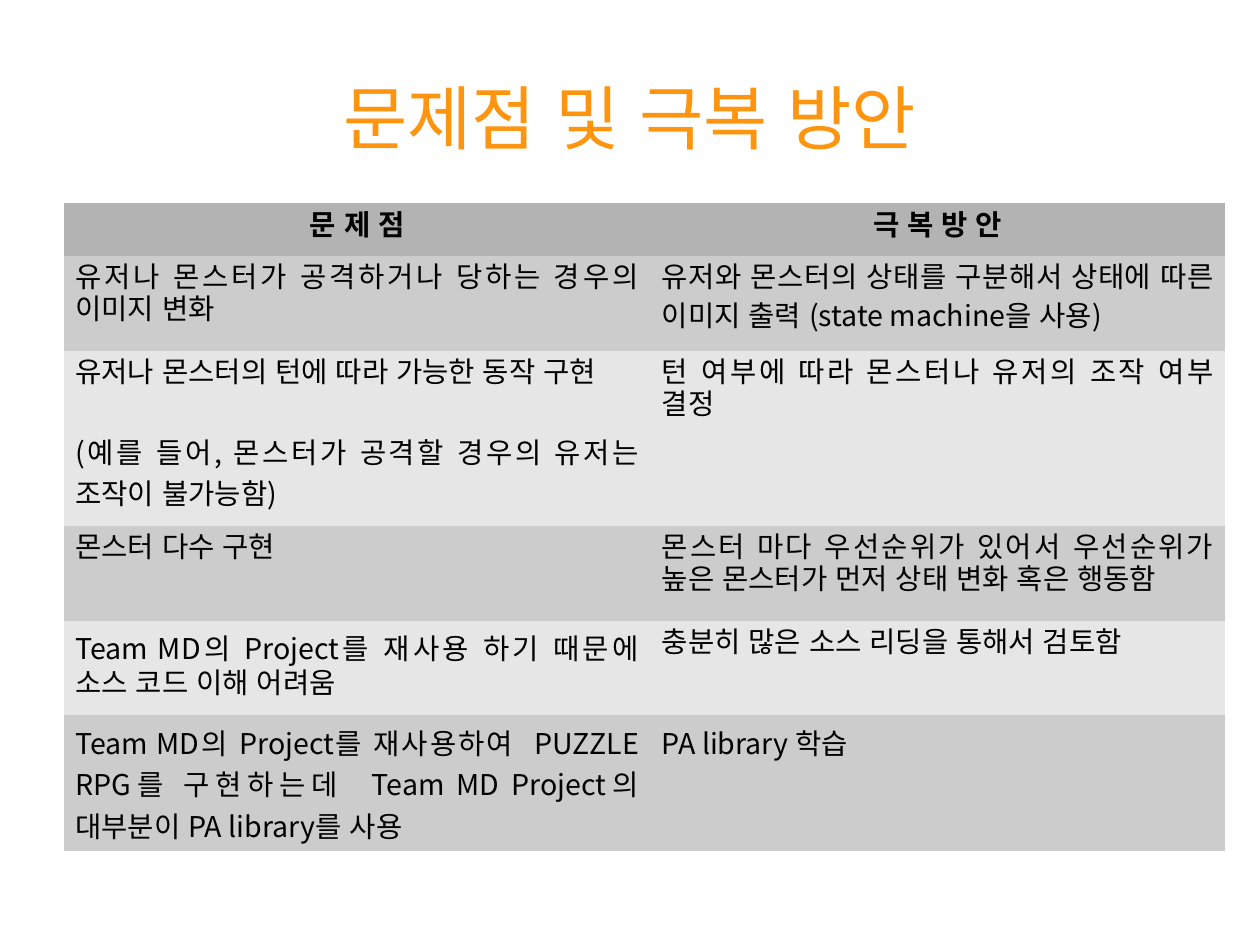
from lxml.etree import SubElement
from pptx import Presentation
from pptx.dml.color import RGBColor
from pptx.enum.text import MSO_ANCHOR as Anchor, PP_ALIGN as Align
from pptx.oxml.ns import qn
from pptx.util import Inches, Pt

BODY_FONT = "Noto Sans CJK KR"
TITLE_FONT = "Arial"
CM_PER_INCH = 2.54
HEADER_FILL = "B3B3B3"
BAND_FILLS = ("CCCCCC", "E6E6E6")
COLUMN_WIDTHS = (5.13, 5.03)
ROW_HEIGHTS = (0.46, 0.83, 1.53, 0.83, 0.83, 1.19)
BLANK_LINE = 26

HEADINGS = ("문 제 점", "극 복 방 안")
ISSUES = (
    ("유저나 몬스터가 공격하거나 당하는 경우의 이미지 변화",
     "유저와 몬스터의 상태를 구분해서 상태에 따른 이미지 출력 (state machine을 사용)"),
    ("유저나 몬스터의 턴에 따라 가능한 동작 구현\n"
     "(예를 들어, 몬스터가 공격할 경우의 유저는 조작이 불가능함)",
     "턴 여부에 따라 몬스터나 유저의 조작 여부 결정"),
    ("몬스터 다수 구현",
     "몬스터 마다 우선순위가 있어서 우선순위가 높은 몬스터가 먼저 상태 변화 혹은 행동함"),
    ("Team MD의 Project를 재사용 하기 때문에 소스 코드 이해 어려움",
     "충분히 많은 소스 리딩을 통해서 검토함"),
    ("Team MD의 Project를 재사용하여  PUZZLE RPG를 구현하는데  "
     "Team MD Project의 대부분이 PA library를 사용",
     "PA library 학습"),
)


def color(value):
    """Turn a hex string into a colour."""
    return RGBColor.from_string(value)


def write(frame, text, size, ink, align, latin=BODY_FONT, bold=False):
    """Fill a text frame, leaving one line free between paragraphs."""
    frame.text = text
    frame.word_wrap = True
    for index, paragraph in enumerate(frame.paragraphs):
        paragraph.alignment = align
        if index:
            paragraph.space_before = Pt(BLANK_LINE)
        for run in paragraph.runs:
            run.font.name = latin
            run.font.size = Pt(size)
            run.font.bold = bold
            run.font.color.rgb = color(ink)
            east_asian = SubElement(run.font._element, qn("a:ea"))
            east_asian.set("typeface", TITLE_FONT)


def add_title(slide, text):
    """Add the centred slide title."""
    title = slide.shapes.add_textbox(
        Inches(0.55), Inches(0.33), Inches(9.92), Inches(1.38))
    frame = title.text_frame
    frame.margin_left = frame.margin_right = 0
    frame.margin_top = frame.margin_bottom = 0
    frame.vertical_anchor = Anchor.MIDDLE
    write(frame, text, 44, "FF950E", Align.CENTER, latin=TITLE_FONT)


def add_issue_table(slide):
    """Add the table of problems and their solutions."""
    rows = (HEADINGS, *ISSUES)
    table = slide.shapes.add_table(
        len(rows), len(HEADINGS), Inches(0.56), Inches(1.78),
        Inches(sum(COLUMN_WIDTHS)), Inches(sum(ROW_HEIGHTS))).table
    table.horz_banding = False
    table.first_row = False
    for column, width in zip(table.columns, COLUMN_WIDTHS):
        column.width = Inches(width)
    style_id = table._tbl.tblPr.find(qn("a:tableStyleId"))
    style_id.text = "{2D5ABB26-0587-4C30-8999-92F81FD0307C}"
    for number, texts in enumerate(rows):
        table.rows[number].height = Inches(ROW_HEIGHTS[number])
        is_header = number == 0
        fill = HEADER_FILL if is_header else BAND_FILLS[(number - 1) % 2]
        align = Align.CENTER if is_header else Align.JUSTIFY
        for cell, text in zip(table.rows[number].cells, texts):
            cell.fill.solid()
            cell.fill.fore_color.rgb = color(fill)
            write(cell.text_frame, text, 18, "000000", align, bold=is_header)


def main():
    """Build and save the slide."""
    deck = Presentation()
    deck.slide_width = Inches(28 / CM_PER_INCH)
    deck.slide_height = Inches(21 / CM_PER_INCH)
    slide = deck.slides.add_slide(deck.slide_layouts[6])
    add_title(slide, "문제점 및 극복 방안")
    add_issue_table(slide)
    deck.save("out.pptx")


if __name__ == "__main__":
    main()
